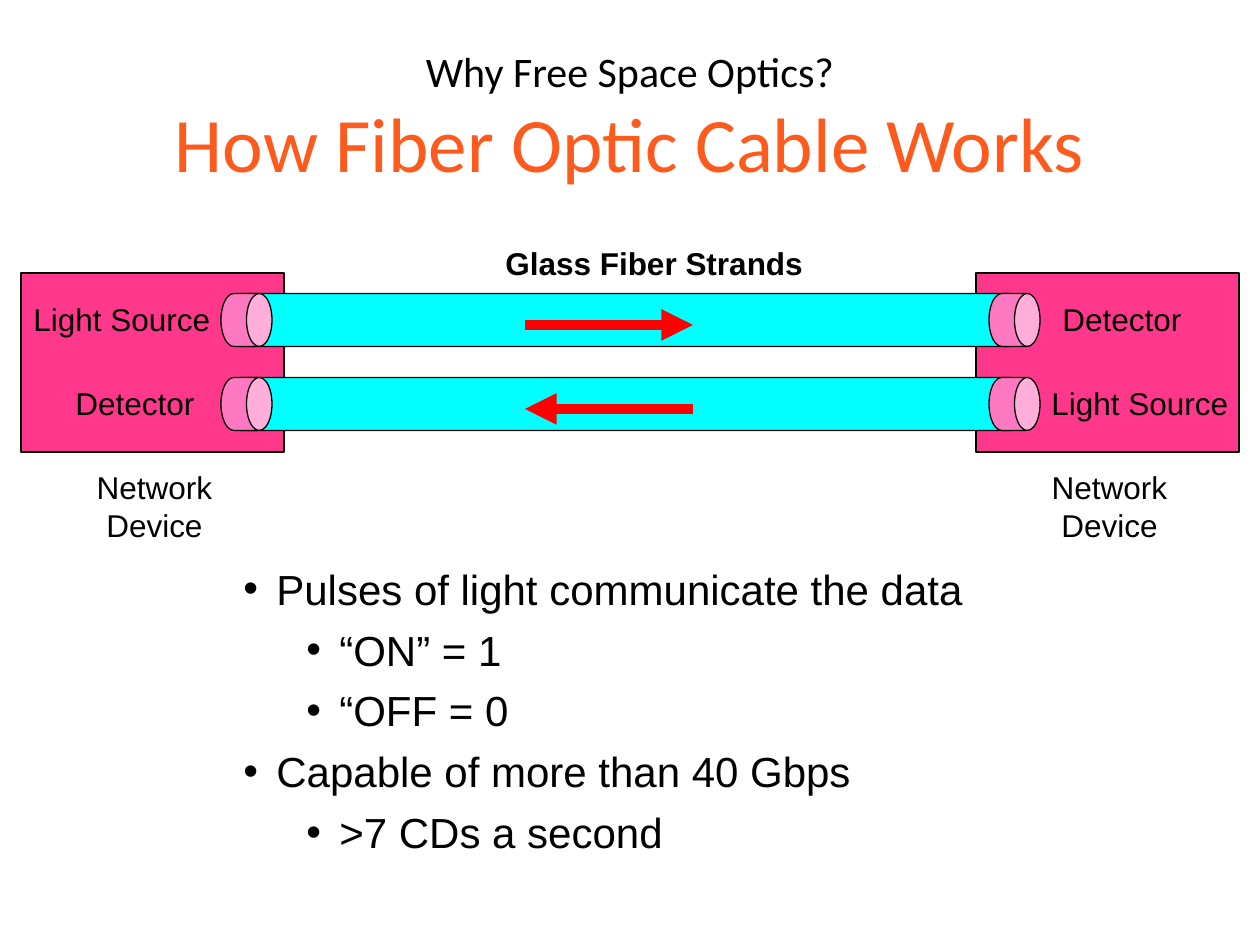
from lxml import etree
from pptx import Presentation
from pptx import util as u
from pptx.dml.color import RGBColor
from pptx.enum import shapes, text
from pptx.oxml import ns

BLACK = RGBColor(0x00, 0x00, 0x00)
ORANGE = RGBColor(0xFD, 0x5A, 0x1E)
PINK = RGBColor(0xFF, 0x38, 0x8C)
LIGHT_PINK = RGBColor(0xFF, 0x79, 0xC2)
CYAN = RGBColor(0x00, 0xFF, 0xFF)
RED = RGBColor(0xFF, 0x00, 0x00)
PX = 914400 / 126


def draw(parent, kind, box, fill):
    part = parent.shapes.add_shape(kind, *[round(n * PX) for n in box])
    part.shadow.inherit = False
    part.fill.solid()
    part.fill.fore_color.rgb = fill
    part.line.color.rgb = BLACK
    part.line.width = u.Pt(0.75)
    return part


def write(paragraph, words, size, font="Arial", color=BLACK, bold=False):
    run = paragraph.add_run()
    run.text = words
    run.font.size = u.Pt(size)
    run.font.name = font
    run.font.color.rgb = color
    run.font.bold = bold


prs = Presentation()
prs.slide_width = round(1260 * PX)
prs.slide_height = round(945 * PX)
slide = prs.slides.add_slide(prs.slide_layouts[5])

title = slide.shapes.title
title.left, title.top, title.width, title.height = [round(n * PX) for n in (63, 38, 1134, 157)]
title.text_frame.auto_size = text.MSO_AUTO_SIZE.NONE
title.text_frame.vertical_anchor = text.MSO_ANCHOR.MIDDLE
heading = title.text_frame.paragraphs[0]
heading.alignment = text.PP_ALIGN.CENTER
write(heading, "Why Free Space Optics?", 24, "Calibri")
heading.add_line_break()
write(heading, "How Fiber Optic Cable Works", 44, "Calibri", ORANGE)

for device_left in (976, 21):
    draw(slide, shapes.MSO_SHAPE.RECTANGLE, (device_left, 273, 263, 179), PINK)

for middle in (320, 404):
    fiber = slide.shapes.add_group_shape()
    for center, length, cap, color in (
        (625, 809, 0.76, CYAN),
        (246, 51, 0.5, LIGHT_PINK),
        (1014, 51, 0.5, LIGHT_PINK),
    ):
        box = (center - 26, middle - length / 2, 53, length)
        tube = draw(fiber, shapes.MSO_SHAPE.CAN, box, color)
        tube.rotation = 90
        tube.adjustments[0] = cap

for lines, left, top, width, bold in (
    (["Light Source"], 21, 294, 202, False),
    (["Glass Fiber Strands"], 493, 238, 326, True),
    (["Detector"], 63, 378, 145, False),
    (["Network", "Device"], 84, 462, 141, False),
    (["Light Source"], 1039, 378, 202, False),
    (["Detector"], 1050, 294, 145, False),
    (["Network", "Device"], 1039, 462, 141, False),
):
    height = 12 + 38 * len(lines)
    label = slide.shapes.add_textbox(*[round(n * PX) for n in (left, top, width, height)])
    label.text_frame.word_wrap = False
    label.text_frame.auto_size = text.MSO_AUTO_SIZE.SHAPE_TO_FIT_TEXT
    caption = label.text_frame.paragraphs[0]
    if len(lines) > 1:
        caption.alignment = text.PP_ALIGN.CENTER
    for i, words in enumerate(lines):
        if i:
            caption.add_line_break()
        write(caption, words, 18, bold=bold)

facts = slide.shapes.add_textbox(*[round(n * PX) for n in (231, 557, 829, 315)]).text_frame
facts.word_wrap = True
facts.auto_size = text.MSO_AUTO_SIZE.SHAPE_TO_FIT_TEXT
for i, (level, words) in enumerate((
    (0, "Pulses of light communicate the data"),
    (1, "“ON” = 1"),
    (1, "“OFF = 0"),
    (0, "Capable of more than 40 Gbps"),
    (1, ">7 CDs a second"),
)):
    fact = facts.add_paragraph() if i else facts.paragraphs[0]
    fact.level = level
    props = fact._p.get_or_add_pPr()
    props.set("marL", str(round((33 + 63 * level) * PX)))
    props.set("indent", str(round(-33 * PX)))
    before = etree.SubElement(props, ns.qn("a:spcBef"))
    etree.SubElement(before, ns.qn("a:spcPct"), val="25000")
    etree.SubElement(props, ns.qn("a:buFont"), typeface="Arial")
    etree.SubElement(props, ns.qn("a:buChar"), char="•")
    write(fact, words, 24)

for start, end, y in ((525, 693, 325), (693, 525, 409)):
    ends = [round(n * PX) for n in (start, y, end, y)]
    light = slide.shapes.add_connector(shapes.MSO_CONNECTOR.STRAIGHT, *ends)
    light.line.color.rgb = RED
    light.line.width = u.Pt(6)
    etree.SubElement(light.line._get_or_add_ln(), ns.qn("a:tailEnd"), type="triangle")
    etree.SubElement(light._element.spPr, ns.qn("a:effectLst"))

prs.save("out.pptx")
